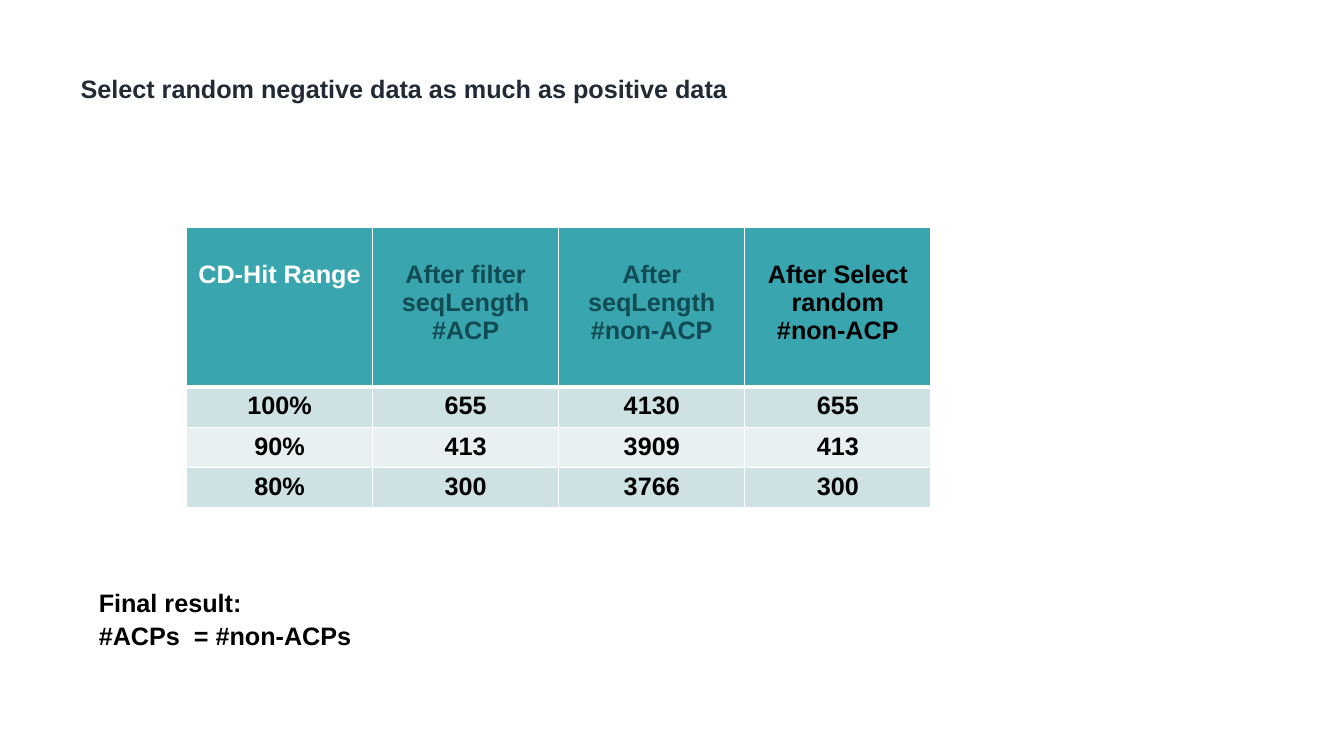
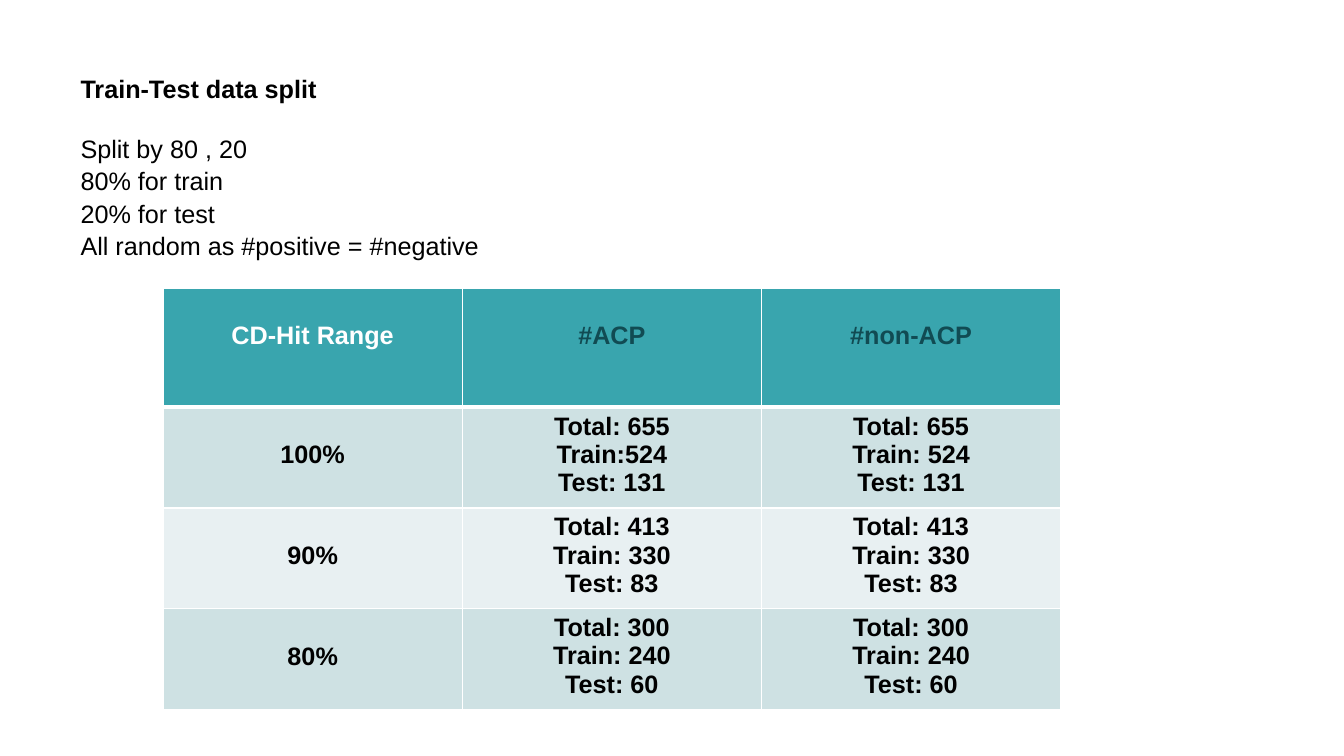
from dataclasses import dataclass

from lxml import etree
from pptx import Presentation
from pptx.dml.color import RGBColor
from pptx.enum.text import MSO_ANCHOR, PP_ALIGN
from pptx.oxml.ns import qn
from pptx.util import Cm, Pt

CENTER = PP_ALIGN.CENTER
TOP = MSO_ANCHOR.TOP


@dataclass(frozen=True)
class Theme:
    font: str = "Arial"
    size: float = 18
    line_spacing: float = 1.07
    title: str = "222A35"
    text: str = "000000"
    header: str = "39A5AE"
    on_header: str = "FFFFFF"
    muted: str = "114B53"
    bands: tuple[str, str] = ("CEE1E3", "E8F0F2")
    border: str = "FFFFFF"
    thin: float = 1
    thick: float = 3
    one_line_down: float = 0.84


THEME = Theme()


@dataclass(frozen=True)
class TextBlock:
    left: float
    top: float
    width: float
    height: float
    text: str
    color: str = THEME.text
    bold: bool = True


@dataclass(frozen=True)
class DataTable:
    left: float
    top: float
    col_width: float
    header_height: float
    row_height: float
    header_colors: tuple[str, ...]
    rows: tuple[tuple[str, ...], ...]
    lowered_labels: bool = False


def title(text: str, color: str = THEME.text) -> TextBlock:
    return TextBlock(1.78, 1.68, 22.63, 1.02, text, color)


def style_text(tf, color: str, bold: bool) -> None:
    for p in tf.paragraphs:
        for r in p.runs:
            r.font.name = THEME.font
            r.font.size = Pt(THEME.size)
            r.font.bold = bold
            r.font.color.rgb = RGBColor.from_string(color)


def add_text(s, block: TextBlock) -> None:
    sp = s.shapes.add_textbox(
        Cm(block.left), Cm(block.top), Cm(block.width), Cm(block.height))
    tf = sp.text_frame
    tf.word_wrap = True
    tf.text = block.text
    for p in tf.paragraphs:
        p.line_spacing = THEME.line_spacing
    style_text(tf, block.color, block.bold)


def set_borders(cell, top: float, bottom: float) -> None:
    tc_pr = cell._tc.get_or_add_tcPr()
    widths = {"a:lnL": THEME.thin, "a:lnR": THEME.thin,
              "a:lnT": top, "a:lnB": bottom}
    for i, (tag, width) in enumerate(widths.items()):
        ln = etree.Element(qn(tag), w=str(Pt(width)))
        fill = etree.SubElement(ln, qn("a:solidFill"))
        etree.SubElement(fill, qn("a:srgbClr"), val=THEME.border)
        tc_pr.insert(i, ln)


def add_table(s, data: DataTable) -> None:
    n_rows, n_cols = len(data.rows), len(data.rows[0])
    heights = [data.header_height] + [data.row_height] * (n_rows - 1)
    frame = s.shapes.add_table(
        n_rows, n_cols, Cm(data.left), Cm(data.top),
        Cm(data.col_width * n_cols), Cm(sum(heights)))
    table = frame.table
    table.first_row = table.horz_banding = False
    for col in table.columns:
        col.width = Cm(data.col_width)
    for i, (row, height) in enumerate(zip(data.rows, heights)):
        table.rows[i].height = Cm(height)
        is_header = i == 0
        fill = THEME.header if is_header else THEME.bands[(i - 1) % 2]
        for j, text in enumerate(row):
            cell = table.cell(i, j)
            cell.text = text
            cell.vertical_anchor = TOP
            if is_header or (data.lowered_labels and j == 0):
                cell.margin_top = Cm(THEME.one_line_down)
            for p in cell.text_frame.paragraphs:
                p.alignment = CENTER
            color = data.header_colors[j] if is_header else THEME.text
            style_text(cell.text_frame, color, True)
            cell.fill.solid()
            cell.fill.fore_color.rgb = RGBColor.from_string(fill)
            set_borders(cell,
                        top=THEME.thick if i == 1 else THEME.thin,
                        bottom=THEME.thick if is_header else THEME.thin)


SELECTION = DataTable(
    4.7, 5.72, 4.69, 4.03, 1.01,
    (THEME.on_header, THEME.muted, THEME.muted, THEME.text),
    (
        ("CD-Hit Range", "After filter seqLength\n#ACP",
         "After seqLength\n#non-ACP", "After Select random #non-ACP"),
        ("100%", "655", "4130", "655"),
        ("90%", "413", "3909", "413"),
        ("80%", "300", "3766", "300"),
    ),
)

SPLIT = DataTable(
    4.11, 7.26, 7.54, 3, 2.54,
    (THEME.on_header, THEME.muted, THEME.muted),
    (
        ("CD-Hit Range", "#ACP", "#non-ACP"),
        ("100%", "Total: 655\nTrain:524\nTest: 131",
         "Total: 655\nTrain: 524\nTest: 131"),
        ("90%",) + ("Total: 413\nTrain: 330\nTest: 83",) * 2,
        ("80%",) + ("Total: 300\nTrain: 240\nTest: 60",) * 2,
    ),
    lowered_labels=True,
)

SLIDES = (
    (
        title("Select random negative data as much as positive data",
              THEME.title),
        SELECTION,
        TextBlock(2.24, 14.63, 22.17, 1.8,
                  "Final result:\n#ACPs  = #non-ACPs"),
    ),
    (
        title("Train-Test data split"),
        SPLIT,
        TextBlock(1.78, 3.18, 15.47, 3.33,
                  "Split by 80 , 20\n80% for train\n20% for test\n"
                  "All random as #positive = #negative", bold=False),
    ),
)


def main() -> None:
    prs = Presentation()
    prs.slide_width, prs.slide_height = Cm(33.87), Cm(19.05)
    for elements in SLIDES:
        s = prs.slides.add_slide(prs.slide_layouts[6])
        for element in elements:
            if isinstance(element, DataTable):
                add_table(s, element)
            else:
                add_text(s, element)
    prs.save("out.pptx")


if __name__ == "__main__":
    main()
